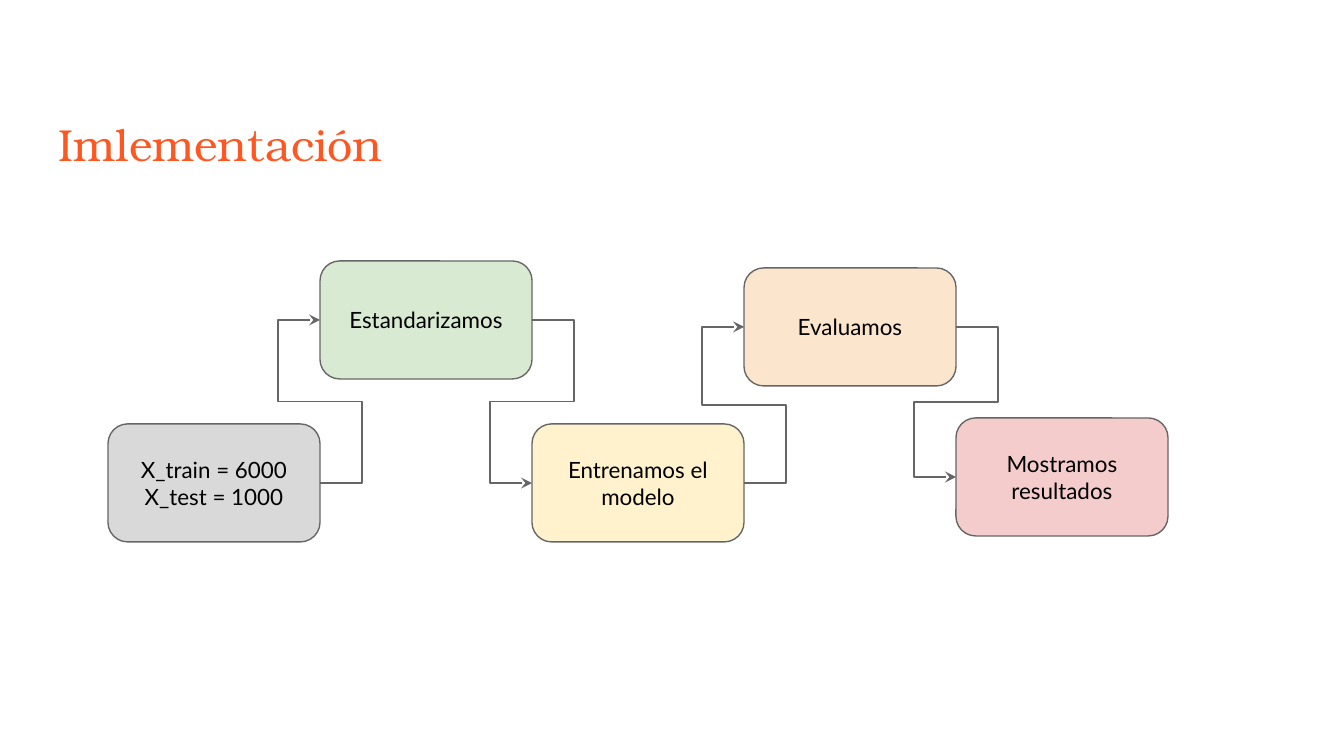
from lxml import etree
from pptx import Presentation
from pptx import util as u
from pptx.dml.color import RGBColor
from pptx.enum import shapes, text
from pptx.oxml.ns import qn

PX_PER_INCH = 134.4
COLORS = {
    "title": "FF5722",
    "ink": "000000",
    "line": "666666",
    "gray": "D9D9D9",
    "green": "D9EAD3",
    "yellow": "FFF2CC",
    "orange": "FCE5CD",
    "red": "F4CCCC",
}
STEPS = [
    ("X_train = 6000\nX_test = 1000", 424, "gray"),
    ("Estandarizamos", 261, "green"),
    ("Entrenamos el modelo", 424, "yellow"),
    ("Evaluamos", 268, "orange"),
    ("Mostramos resultados", 418, "red"),
]
STEP_LEFT, STEP_WIDTH, STEP_HEIGHT = 108, 212, 118
BEND = 35
ARROW_SPAN = u.Emu(600)


def px(length):
    """Turn a length in px into EMU."""
    return u.Emu(round(length * 914400 / PX_PER_INCH))


def color(name):
    """Look up a named colour."""
    return RGBColor.from_string(COLORS[name])


def write(shape, words, font="Lato", size=12, ink="ink",
          align=text.PP_ALIGN.CENTER, anchor=text.MSO_ANCHOR.MIDDLE):
    """Fill a shape with formatted text, one paragraph per line."""
    frame = shape.text_frame
    frame.word_wrap = True
    frame.auto_size = text.MSO_AUTO_SIZE.NONE
    frame.vertical_anchor = anchor
    frame.margin_left = frame.margin_right = u.Inches(0.1)
    frame.margin_top = frame.margin_bottom = u.Inches(0.1)
    frame.text = words
    for para in frame.paragraphs:
        para.alignment = align
        for span in para.runs:
            span.font.name = font
            span.font.size = u.Pt(size)
            span.font.color.rgb = color(ink)


def add_title(page, words):
    """Place and format the title placeholder."""
    title = page.shapes.title
    title.left, title.top, title.width, title.height = map(px, (45, 72, 413, 112))
    write(title, words, font="TeX Gyre Bonum", size=24, ink="title",
          align=text.PP_ALIGN.LEFT, anchor=text.MSO_ANCHOR.BOTTOM)


def add_step(page, column, words, top, fill):
    """Add one rounded box of the process."""
    width = px(STEP_WIDTH)
    box = page.shapes.add_shape(
        shapes.MSO_SHAPE.ROUNDED_RECTANGLE,
        px(STEP_LEFT) + column * width, px(top), width, px(STEP_HEIGHT))
    box.shadow.inherit = False
    box.fill.solid()
    box.fill.fore_color.rgb = color(fill)
    box.line.color.rgb = color("line")
    box.line.width = u.Pt(0.75)
    write(box, words)
    return box


def add_arrow(page, start, end):
    """Join two boxes with an S-shaped arrow, right side to left side."""
    arrow = page.shapes.add_connector(
        shapes.MSO_CONNECTOR.ELBOW,
        start.left + start.width, start.top + start.height // 2,
        end.left, end.top + end.height // 2)
    arrow.begin_connect(start, 3)
    arrow.end_connect(end, 1)
    arrow.width = ARROW_SPAN
    arrow.line.color.rgb = color("line")
    arrow.line.width = u.Pt(0.75)
    properties = arrow._element.spPr
    etree.SubElement(arrow.line._get_or_add_ln(), qn("a:tailEnd"), type="stealth")
    etree.SubElement(properties, qn("a:effectLst"))
    geometry = properties.find(qn("a:prstGeom"))
    geometry.set("prst", "bentConnector5")
    guides = geometry.find(qn("a:avLst"))
    reach = round(px(BEND) / ARROW_SPAN * 100000)
    for number, value in enumerate((reach, 50000, -reach), 1):
        etree.SubElement(guides, qn("a:gd"), name=f"adj{number}", fmla=f"val {value}")


def main():
    """Build the slide and save it."""
    deck = Presentation()
    deck.slide_width, deck.slide_height = px(1344), px(756)
    page = deck.slides.add_slide(deck.slide_layouts[5])
    add_title(page, "Imlementación")
    boxes = [add_step(page, column, *step) for column, step in enumerate(STEPS)]
    for start, end in zip(boxes, boxes[1:]):
        add_arrow(page, start, end)
    deck.save("out.pptx")


if __name__ == "__main__":
    main()
